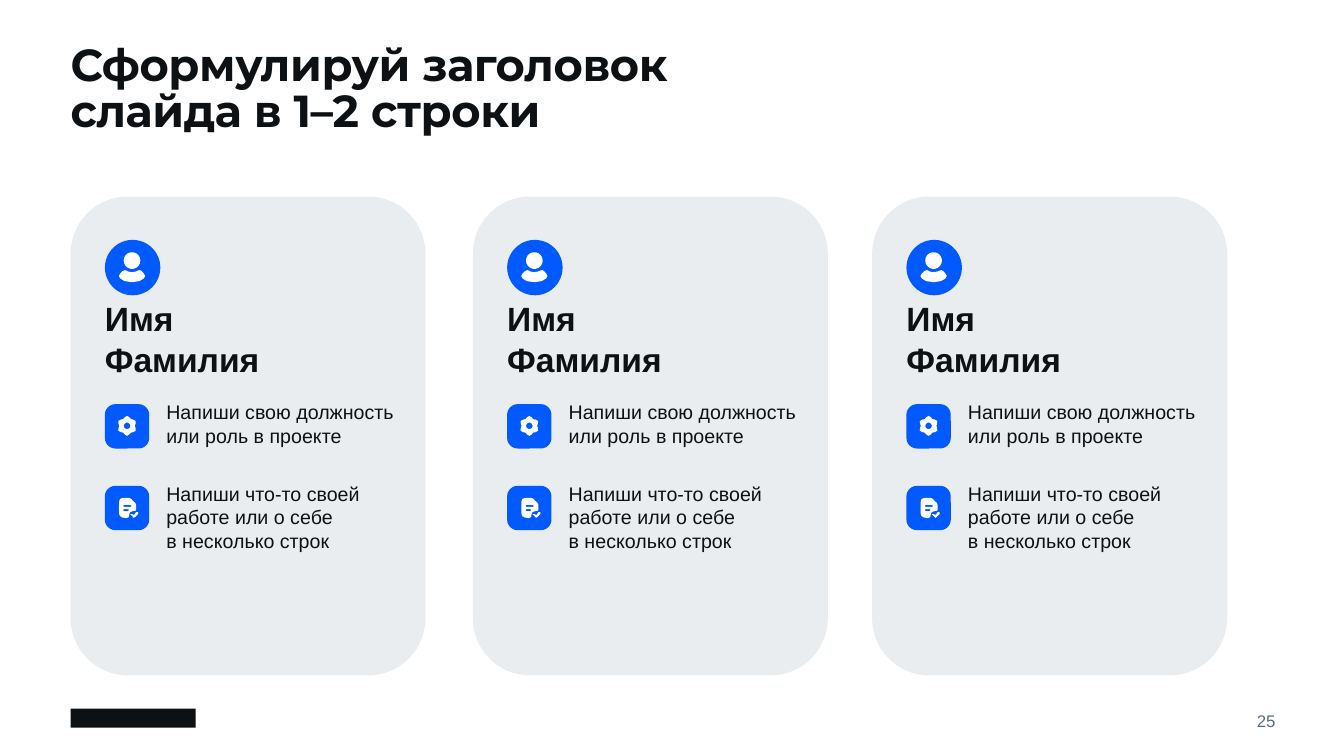
"""Build the team slide with three identical profile cards."""
from copy import deepcopy
from dataclasses import dataclass
from math import cos, pi, sin

from pptx import Presentation
from pptx.dml.color import RGBColor
from pptx.enum.shapes import MSO_SHAPE as Preset
from pptx.enum.text import MSO_ANCHOR as Anchor, MSO_AUTO_SIZE as AutoSize, PP_ALIGN as Align
from pptx.oxml.ns import qn
from pptx.util import Inches, Pt


@dataclass(frozen=True)
class Theme:
    """Colours, fonts and type sizes."""
    ink: str = "0E1114"
    muted: str = "5A6C7D"
    card: str = "EAEDEF"
    accent: str = "005AFF"
    white: str = "FFFFFF"
    heading_font: str = "Montserrat"
    body_font: str = "Arial"
    title_size: int = 32
    name_size: int = 24
    body_size: int = 14
    number_size: int = 12


THEME = Theme()
TITLE = "Сформулируй заголовок \vслайда в 1–2 строки"
PAGE_NUMBER = "25"
PERSON = ["Имя", "Фамилия"]
ROLE = "Напиши свою должность \vили роль в проекте"
ABOUT = "Напиши что-то своей работе или о себе \vв несколько строк"
PEOPLE = [(left, PERSON, ROLE, ABOUT) for left in (0.7, 4.69, 8.65)]

CARD_TOP, CARD_WIDTH, CARD_HEIGHT = 1.95, 3.52, 4.75
PADDING, TEXT_INDENT = 0.34, 0.95
AVATAR_SIZE, BADGE_SIZE = 0.55, 0.44
ROLE_TOP, ABOUT_TOP, BADGE_DROP = 3.97, 4.78, 0.04

SHOULDERS = [(54, 73), (56, 73, 56, 75, 61, 75), (66, 75, 66, 73, 69, 73),
             (70, 73, 74, 77, 74, 79), (74, 81, 70, 85, 61, 85),
             (52, 85, 48, 81, 48, 79), (48, 77, 52, 73, 54, 73)]
SHEET = [(56, 299), (58, 299), (60, 299, 60, 300, 62, 302), (64, 304, 65, 304, 65, 306),
         (65, 311), (65, 312, 64, 312, 62, 312), (59, 312, 58, 314, 58, 316),
         (58, 318, 58, 319, 55, 319), (52, 319, 50, 318, 49, 317),
         (48, 316, 48, 314, 48, 309), (48, 304, 48, 301, 49, 300),
         (50, 299, 52, 299, 56, 299)]
TICK = [(65, 313), (67, 313), (67, 315), (64, 318), (63, 319, 62, 319, 62, 318),
        (60, 316), (59, 315), (61, 315), (63, 316)]
SHORT_BAR = [(53, 310), (52, 311), (53, 312), (57, 312), (58, 311), (57, 310)]
LONG_BAR = [(53, 306), (52, 307), (53, 308), (59, 308), (61, 307), (59, 306)]


def flatten(outline, steps):
    """Turn lines and cubic curves into a list of points."""
    points = [outline[0]]
    for segment in outline[1:]:
        if len(segment) == 2:
            points.append(segment)
            continue
        x0, y0 = points[-1]
        x1, y1, x2, y2, x3, y3 = segment
        for step in range(1, steps + 1):
            t = step / steps
            a, b, c, d = (1 - t) ** 3, 3 * t * (1 - t) ** 2, 3 * t * t * (1 - t), t ** 3
            points.append((a * x0 + b * x1 + c * x2 + d * x3, a * y0 + b * y1 + c * y2 + d * y3))
    return points


def ring(x, y, radius, count, wave=0):
    """Give the points of a circle, with six lobes when wave is set."""
    angles = [2 * pi * i / count for i in range(count)]
    return [(x + (radius - wave * cos(6 * a)) * cos(a),
             y + (radius - wave * cos(6 * a)) * sin(a)) for a in angles]


USER_ICON = [flatten(SHOULDERS, 3), ring(61, 63.5, 8.3, 18)]
GEAR_ICON = [ring(56, 227.5, 8.8, 24, 1.1), ring(56, 227.5, 3.3, 10)]
NOTE_ICON = [flatten(outline, 2) for outline in (TICK, SHORT_BAR, LONG_BAR, SHEET)]


def paint(shape, color):
    """Fill a shape with one colour and no outline or shadow."""
    shape.shadow.inherit = False
    shape.fill.solid()
    shape.fill.fore_color.rgb = RGBColor.from_string(color)
    shape.line.fill.background()


def add_block(shapes, preset, box, color, corner=None):
    """Add a plain preset shape."""
    block = shapes.add_shape(preset, *map(Inches, box))
    if corner is not None:
        block.adjustments[0] = corner
    paint(block, color)


def add_icon(shapes, contours, left):
    """Draw a white icon placed relative to its card."""
    scaled = [[(x * 10, y * 10) for x, y in contour] for contour in contours]
    pen = shapes.build_freeform(*scaled[0][0], scale=Inches(1) / 1000)
    for index, contour in enumerate(scaled):
        if index:
            pen.move_to(*contour[0])
        pen.add_line_segments(contour[1:], close=True)
    paint(pen.convert_to_shape(Inches(left), Inches(CARD_TOP)), THEME.white)


def write(frame, lines, size, color=THEME.ink, font=THEME.body_font, bold=False,
          align=Align.LEFT, anchor=Anchor.TOP, fit=AutoSize.NONE, line_spacing=None, tracking=None):
    """Fill a text frame with formatted paragraphs."""
    frame_format = {"margin_left": 0, "margin_top": 0, "margin_right": 0, "margin_bottom": 0,
                    "word_wrap": True, "auto_size": fit, "vertical_anchor": anchor}
    for key, value in frame_format.items():
        setattr(frame, key, value)
    frame.text = "\n".join(lines)
    for paragraph in frame.paragraphs:
        paragraph.alignment = align
        paragraph.line_spacing = line_spacing
        for run in paragraph.runs:
            for key, value in {"size": Pt(size), "name": font, "bold": bold}.items():
                setattr(run.font, key, value)
            run.font.color.rgb = RGBColor.from_string(color)
            if tracking is not None:
                run._r.get_or_add_rPr().set("spc", str(tracking))
        for line_break in paragraph._p.findall(qn("a:br")):
            line_break.insert(0, deepcopy(paragraph.runs[0]._r.rPr))


def add_text(shapes, box, lines, size, **text_format):
    """Add a text box."""
    write(shapes.add_textbox(*map(Inches, box)).text_frame, lines, size, **text_format)


def add_card(shapes, left, person, role, about):
    """Add one profile card."""
    inner, text_left = left + PADDING, left + TEXT_INDENT
    add_block(shapes, Preset.ROUNDED_RECTANGLE,
              (left, CARD_TOP, CARD_WIDTH, CARD_HEIGHT), THEME.card, 0.161)
    avatar = shapes.add_group_shape().shapes
    add_block(avatar, Preset.OVAL, (inner, 2.38, AVATAR_SIZE, AVATAR_SIZE), THEME.accent)
    add_icon(avatar, USER_ICON, left)
    add_text(shapes, (inner, 2.96, 3.09, 0.81), person, THEME.name_size,
             bold=True, fit=AutoSize.SHAPE_TO_FIT_TEXT)
    for top, height, words, icon in ((ROLE_TOP, 0.47, role, GEAR_ICON),
                                     (ABOUT_TOP, 0.71, about, NOTE_ICON)):
        add_text(shapes, (text_left, top, 2.36, height), [words], THEME.body_size,
                 fit=AutoSize.SHAPE_TO_FIT_TEXT)
        add_block(shapes, Preset.ROUNDED_RECTANGLE,
                  (inner, top + BADGE_DROP, BADGE_SIZE, BADGE_SIZE), THEME.accent, 0.238)
        add_icon(shapes, icon, left)


def main():
    """Build and save the slide."""
    deck = Presentation()
    deck.slide_width, deck.slide_height = Inches(13.33), Inches(7.5)
    slide = deck.slides.add_slide(deck.slide_layouts[5])
    shapes = slide.shapes
    title_box = {"left": 0.7, "top": 0.45, "width": 11.93, "height": 0.75}
    for key, value in title_box.items():
        setattr(shapes.title, key, Inches(value))
    write(shapes.title.text_frame, [TITLE], THEME.title_size, font=THEME.heading_font,
          bold=True, line_spacing=0.85, tracking=-30)
    add_block(shapes, Preset.RECTANGLE, (0.7, 7.03, 1.24, 0.19), THEME.ink)
    add_text(shapes, (11.66, 7.03, 0.99, 0.24), [PAGE_NUMBER], THEME.number_size,
             color=THEME.muted, align=Align.RIGHT, anchor=Anchor.MIDDLE)
    for left, person, role, about in PEOPLE:
        add_card(shapes, left, person, role, about)
    deck.save("out.pptx")


if __name__ == "__main__":
    main()
